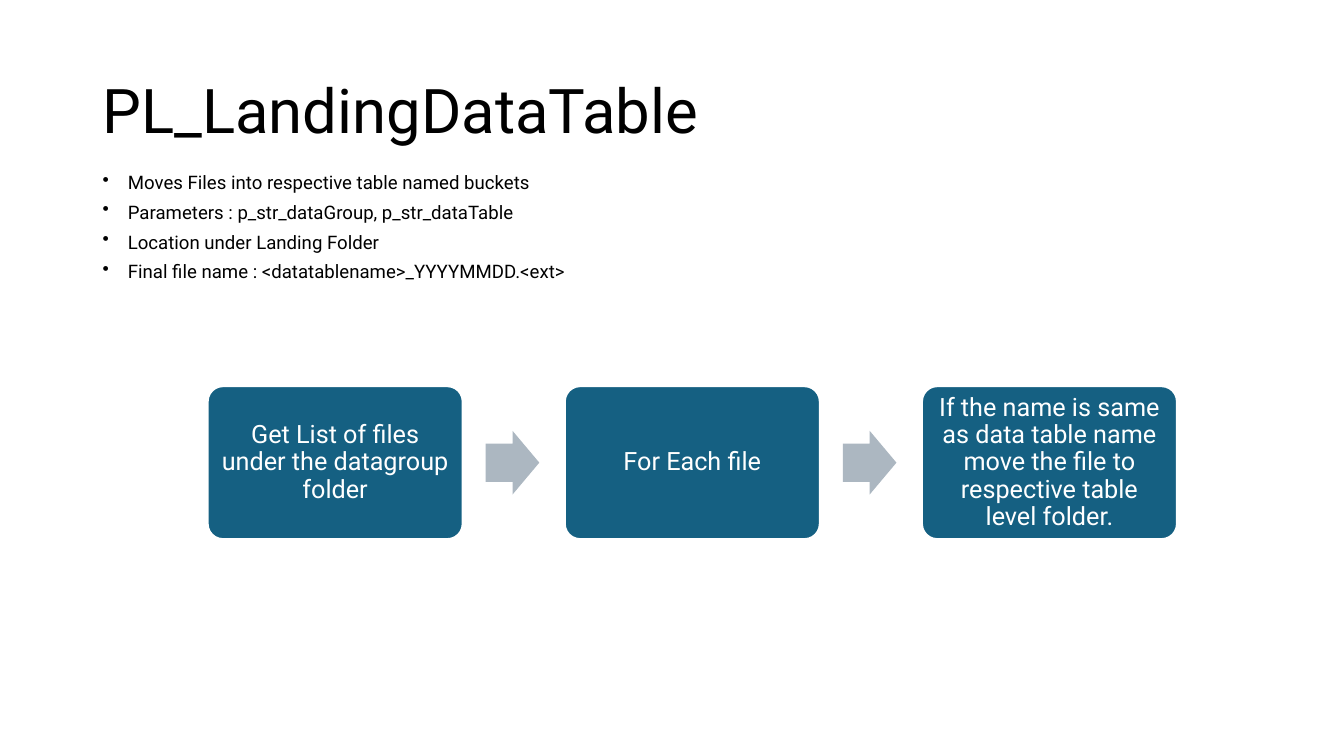
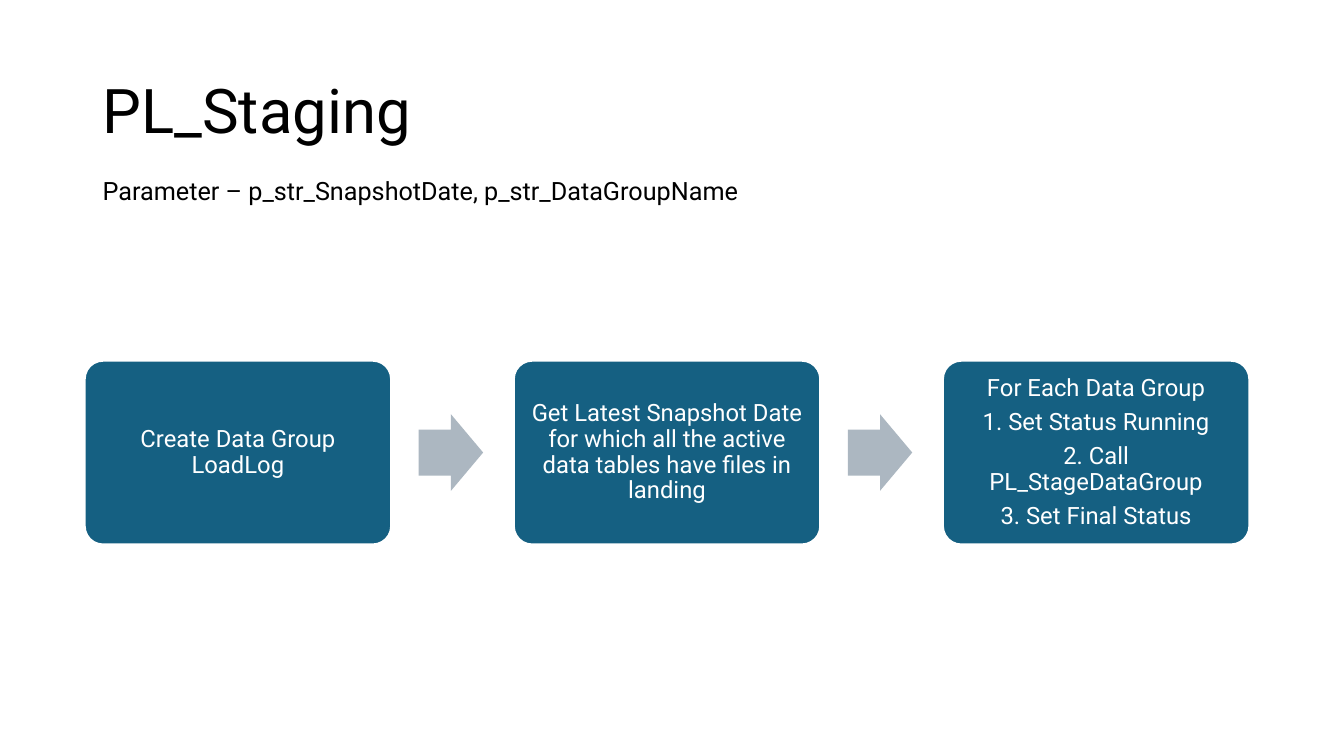
from dataclasses import dataclass

from pptx import Presentation
from pptx.dml.color import RGBColor
from pptx.enum.shapes import MSO_SHAPE
from pptx.enum.text import MSO_ANCHOR, PP_ALIGN
from pptx.oxml.ns import qn
from pptx.util import Inches, Pt

ROUNDED, ARROW = MSO_SHAPE.ROUNDED_RECTANGLE, MSO_SHAPE.RIGHT_ARROW
TOP, MIDDLE = MSO_ANCHOR.TOP, MSO_ANCHOR.MIDDLE
LEFT, CENTER = PP_ALIGN.LEFT, PP_ALIGN.CENTER


@dataclass(frozen=True)
class Theme:
    font: str = "Roboto"
    ink: RGBColor = RGBColor(0x00, 0x00, 0x00)
    paper: RGBColor = RGBColor(0xFF, 0xFF, 0xFF)
    box: RGBColor = RGBColor(0x15, 0x60, 0x82)
    arrow: RGBColor = RGBColor(0xAC, 0xB7, 0xC1)
    title_size: float = 44


THEME = Theme()
SLIDE_WIDTH, SLIDE_HEIGHT = 13.33, 7.5
MARGIN, CONTENT_WIDTH = 0.92, 11.5

# Flow proportions, as shares of the width of a step
STEP_HEIGHT, STEP_PITCH = 0.6, 1.4
ARROW_OFFSET, ARROW_WIDTH, ARROW_HEIGHT = 1.09, 0.21, 0.25

SLIDES = [
    {
        "title": "PL_LandingDataTable",
        "notes": [
            "Moves Files into respective table named buckets",
            "Parameters : p_str_dataGroup, p_str_dataTable",
            "Location under Landing Folder",
            "Final file name : <datatablename>_YYYYMMDD.<ext>",
        ],
        "notes_area": (MARGIN, 1.71, CONTENT_WIDTH, 1.18),
        "notes_style": {"size": 13.3, "spacing": 0.7, "before": 10, "bullet": "•"},
        "steps": [
            ["Get List of files under the datagroup folder"],
            ["For Each file"],
            ["If the name is same as data table name move the file "
             "to respective table level folder."],
        ],
        "flow": {"left": 2.06, "middle": 4.59, "width": 2.53, "size": 18},
    },
    {
        "title": "PL_Staging",
        "notes": ["Parameter – p_str_SnapshotDate, p_str_DataGroupName"],
        "notes_area": (MARGIN, 1.69, 7.65, 0.4),
        "notes_style": {"size": 18},
        "steps": [
            ["Create Data Group LoadLog"],
            ["Get Latest Snapshot Date for which all the active data tables "
             "have files in landing"],
            ["For Each Data Group", "1. Set Status Running",
             "2. Call PL_StageDataGroup", "3. Set Final Status"],
        ],
        "flow": {"left": 0.84, "middle": 4.49, "width": 3.04, "size": 17},
    },
]


def add_bullet(paragraph, character, indent=0.25):
    properties = paragraph._p.get_or_add_pPr()
    properties.set("marL", str(Inches(indent)))
    properties.set("indent", str(-Inches(indent)))
    bullet = properties.makeelement(qn("a:buChar"), {"char": character})
    properties.append(bullet)


def write(shape, lines, size, color=THEME.ink, align=LEFT, anchor=TOP,
          spacing=1.0, before=0, after=0, bullet=None):
    frame = shape.text_frame
    frame.word_wrap = True
    frame.vertical_anchor = anchor
    for index, line in enumerate(lines):
        paragraph = frame.add_paragraph() if index else frame.paragraphs[0]
        paragraph.text = line
        paragraph.alignment = align
        paragraph.line_spacing = spacing
        paragraph.space_before, paragraph.space_after = Pt(before), Pt(after)
        paragraph.font.name = THEME.font
        paragraph.font.size = Pt(size)
        paragraph.font.color.rgb = color
        if bullet:
            add_bullet(paragraph, bullet)


def add_text(slide, area, lines, **style):
    write(slide.shapes.add_textbox(*map(Inches, area)), lines, **style)


def add_block(slide, kind, left, middle, width, height, fill, adjustments):
    """Add a filled shape centred vertically on middle."""
    area = (left, middle - height / 2, width, height)
    shape = slide.shapes.add_shape(kind, *map(Inches, area))
    shape.shadow.inherit = False
    shape.fill.solid()
    shape.fill.fore_color.rgb = fill
    shape.line.fill.background()
    for index, value in enumerate(adjustments):
        shape.adjustments[index] = value
    return shape


def add_step(slide, lines, left, middle, width, size):
    box = add_block(slide, ROUNDED, left, middle, width, width * STEP_HEIGHT,
                    THEME.box, [0.1])
    box.line.color.rgb = THEME.paper
    box.line.width = Pt(1.5)
    frame = box.text_frame
    frame.margin_left = frame.margin_right = Inches(0.07)
    frame.margin_top = frame.margin_bottom = Inches(0.07)
    write(box, lines, size, THEME.paper, CENTER, MIDDLE,
          spacing=0.9, after=round(size * 0.35))


def add_flow(slide, steps, left, middle, width, size):
    for index, lines in enumerate(steps):
        step_left = left + index * width * STEP_PITCH
        add_step(slide, lines, step_left, middle, width, size)
        if index < len(steps) - 1:
            add_block(slide, ARROW, step_left + width * ARROW_OFFSET, middle,
                      width * ARROW_WIDTH, width * ARROW_HEIGHT,
                      THEME.arrow, [0.6, 0.5])


def main():
    presentation = Presentation()
    presentation.slide_width = Inches(SLIDE_WIDTH)
    presentation.slide_height = Inches(SLIDE_HEIGHT)
    blank = presentation.slide_layouts[6]
    for content in SLIDES:
        slide = presentation.slides.add_slide(blank)
        add_text(slide, (MARGIN, 0.4, CONTENT_WIDTH, 1.45), [content["title"]],
                 size=THEME.title_size, anchor=MIDDLE, spacing=0.9)
        add_flow(slide, content["steps"], **content["flow"])
        add_text(slide, content["notes_area"], content["notes"],
                 **content["notes_style"])
    presentation.save("out.pptx")


if __name__ == "__main__":
    main()
